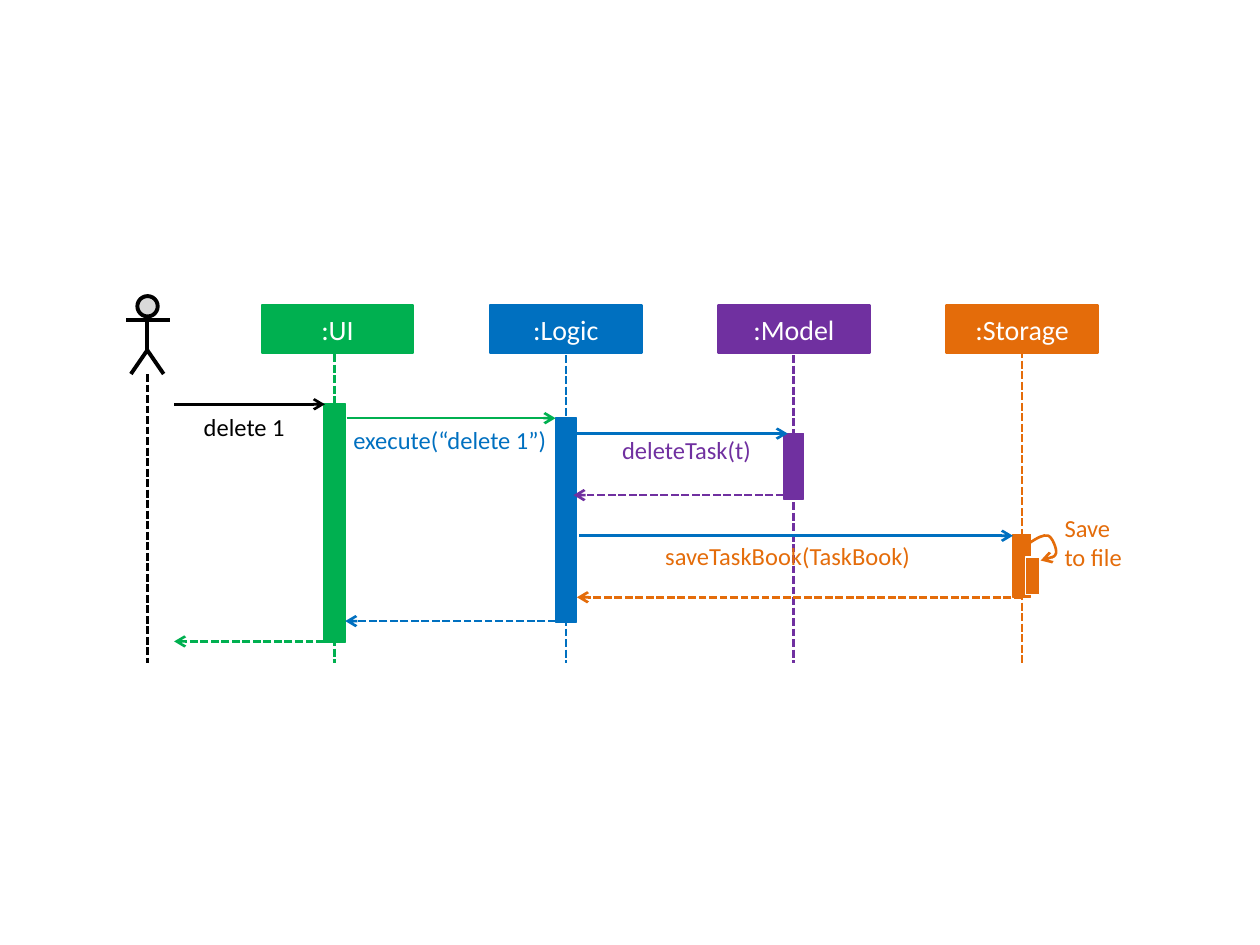
from lxml.etree import SubElement
from pptx import Presentation
from pptx.dml.color import RGBColor
from pptx.enum.dml import MSO_LINE_DASH_STYLE as Dash
from pptx.enum.shapes import MSO_CONNECTOR as Connector, MSO_SHAPE as Shape
from pptx.enum.text import MSO_ANCHOR as Anchor, PP_ALIGN as Align
from pptx.oxml.ns import qn
from pptx.util import Cm, Pt

BLACK, WHITE, GREY = "000000", "FFFFFF", "D9D9D9"
GREEN, BLUE, PURPLE, ORANGE = "00B050", "0070C0", "7030A0", "E46C0A"

HEAD_LEFT, HEAD_STEP, HEAD_TOP, HEAD_WIDTH, HEAD_HEIGHT = 5.28, 4.6, 6.15, 3.05, 0.97
LIFELINE_BOTTOM = 13.36
ACTOR_X, HIP, FOOT = 2.97, 7.06, 7.54

# name, colour, lifeline x, lifeline top, bar top, bar width, bar height
PARTICIPANTS = [
    (":UI", GREEN, 6.74, 7.14, 8.13, 0.43, 4.83),
    (":Logic", BLUE, 11.41, 7.16, 8.43, 0.43, 4.11),
    (":Model", PURPLE, 16, 7.16, 8.74, 0.41, 1.32),
    (":Storage", ORANGE, 20.6, 7.06, 10.77, 0.36, 1.27),
]
CALLS = [
    (3.51, 6.55, 8.15, BLACK),
    (6.99, 11.2, 8.43, GREEN),
    (11.61, 15.88, 8.74, BLUE),
    (11.68, 20.42, 10.8, BLUE),
]
RETURNS = [
    (15.8, 11.56, 9.98, PURPLE),
    (20.6, 11.63, 12.04, ORANGE),
    (11.2, 6.96, 12.52, BLUE),
    (6.53, 3.51, 12.93, GREEN),
]
LABELS = [
    ("delete 1", 3.73, 8.31, 2.39, 0.61, BLACK, Align.CENTER),
    ("execute(“delete 1”)", 7.09, 8.56, 3.96, 0.61, BLUE, Align.CENTER),
    ("deleteTask(t)", 12.14, 8.76, 3.4, 0.61, PURPLE, Align.CENTER),
    ("saveTaskBook(TaskBook)", 12.45, 10.9, 6.86, 0.61, ORANGE, Align.CENTER),
    ("Save\vto file", 21.46, 10.34, 1.5, 1.19, ORANGE, Align.LEFT),
]
LEGS = [(2.64, FOOT), (ACTOR_X, HIP), (3.3, FOOT)]
SELF_CALL = [
    (20.75, 10.95), (20.9, 10.85), (21.03, 10.77), (21.13, 10.8), (21.21, 10.82),
    (21.31, 11.07), (21.29, 11.15), (21.26, 11.23), (21.13, 11.28), (20.98, 11.3),
]


def color(value):
    return RGBColor.from_string(value)


def style_line(shape, line_color, width, dashed=False, arrow=False):
    shape.line.color.rgb = color(line_color)
    shape.line.width = Pt(width)
    if dashed:
        shape.line.dash_style = Dash.SQUARE_DOT
    if arrow:
        properties = shape.line._get_or_add_ln()
        SubElement(properties, qn("a:tailEnd"), type="arrow")


def add_box(kind, left, top, width, height, fill, line_color, line_width):
    shape = slide.shapes.add_shape(kind, Cm(left), Cm(top), Cm(width), Cm(height))
    shape.shadow.inherit = False
    shape.fill.solid()
    shape.fill.fore_color.rgb = color(fill)
    style_line(shape, line_color, line_width)
    return shape


def add_line(x1, y1, x2, y2, line_color, width=1.5, dashed=False, arrow=False):
    line = slide.shapes.add_connector(Connector.STRAIGHT, Cm(x1), Cm(y1), Cm(x2), Cm(y2))
    style_line(line, line_color, width, dashed, arrow)
    SubElement(line._element.spPr, qn("a:effectLst"))


def add_outline(points, line_color, width, arrow=False):
    corners = [(Cm(x), Cm(y)) for x, y in points]
    builder = slide.shapes.build_freeform(*corners[0])
    builder.add_line_segments(corners[1:], close=False)
    shape = builder.convert_to_shape()
    shape.shadow.inherit = False
    shape.fill.background()
    style_line(shape, line_color, width, arrow=arrow)
    return shape


def make_curved(shape):
    path = next(shape._element.iter(qn("a:path")))
    segments = path.findall(qn("a:lnTo"))
    for start in range(0, len(segments), 3):
        curve = SubElement(path, qn("a:cubicBezTo"))
        for segment in segments[start:start + 3]:
            curve.append(segment[0])
            path.remove(segment)


def write(shape, text, size, text_color, align):
    frame = shape.text_frame
    frame.text = text
    paragraph = frame.paragraphs[0]
    paragraph.alignment = align
    for run in paragraph.runs:
        run.font.name = "Calibri"
        run.font.size = Pt(size)
        run.font.color.rgb = color(text_color)
    return frame


presentation = Presentation()
presentation.slide_width, presentation.slide_height = Cm(25.4), Cm(19.05)
slide = presentation.slides.add_slide(presentation.slide_layouts[6])

add_box(Shape.FLOWCHART_CONNECTOR, 2.77, 5.97, 0.41, 0.41, GREY, BLACK, 2.25)
add_line(ACTOR_X, 6.36, ACTOR_X, HIP, BLACK, 2.25)
add_outline(LEGS, BLACK, 2.25)
add_line(2.54, 6.46, 3.43, 6.46, BLACK, 2.25)
add_line(ACTOR_X, FOOT, ACTOR_X, LIFELINE_BOTTOM, BLACK, dashed=True)

for index, (name, fill, x, top, bar_top, bar_width, bar_height) in enumerate(PARTICIPANTS):
    head = add_box(Shape.RECTANGLE, HEAD_LEFT + index * HEAD_STEP, HEAD_TOP,
                   HEAD_WIDTH, HEAD_HEIGHT, fill, fill, 1.5)
    write(head, name, 16, WHITE, Align.CENTER).vertical_anchor = Anchor.MIDDLE
    add_line(x, top, x, LIFELINE_BOTTOM, fill, dashed=True)
    add_box(Shape.RECTANGLE, x - bar_width / 2, bar_top, bar_width, bar_height, fill, fill, 0.75)

for messages, dashed in ((CALLS, False), (RETURNS, True)):
    for start, end, y, line_color in messages:
        add_line(start, y, end, y, line_color, dashed=dashed, arrow=True)

make_curved(add_outline(SELF_CALL, ORANGE, 1.5, arrow=True))
add_box(Shape.RECTANGLE, 20.68, 11.23, 0.28, 0.76, ORANGE, WHITE, 0.75)

for text, left, top, width, height, text_color, align in LABELS:
    box = slide.shapes.add_textbox(Cm(left), Cm(top), Cm(width), Cm(height))
    frame = write(box, text, 14, text_color, align)
    frame.word_wrap = True
    frame.margin_left = frame.margin_right = frame.margin_top = frame.margin_bottom = 0

presentation.save("out.pptx")
